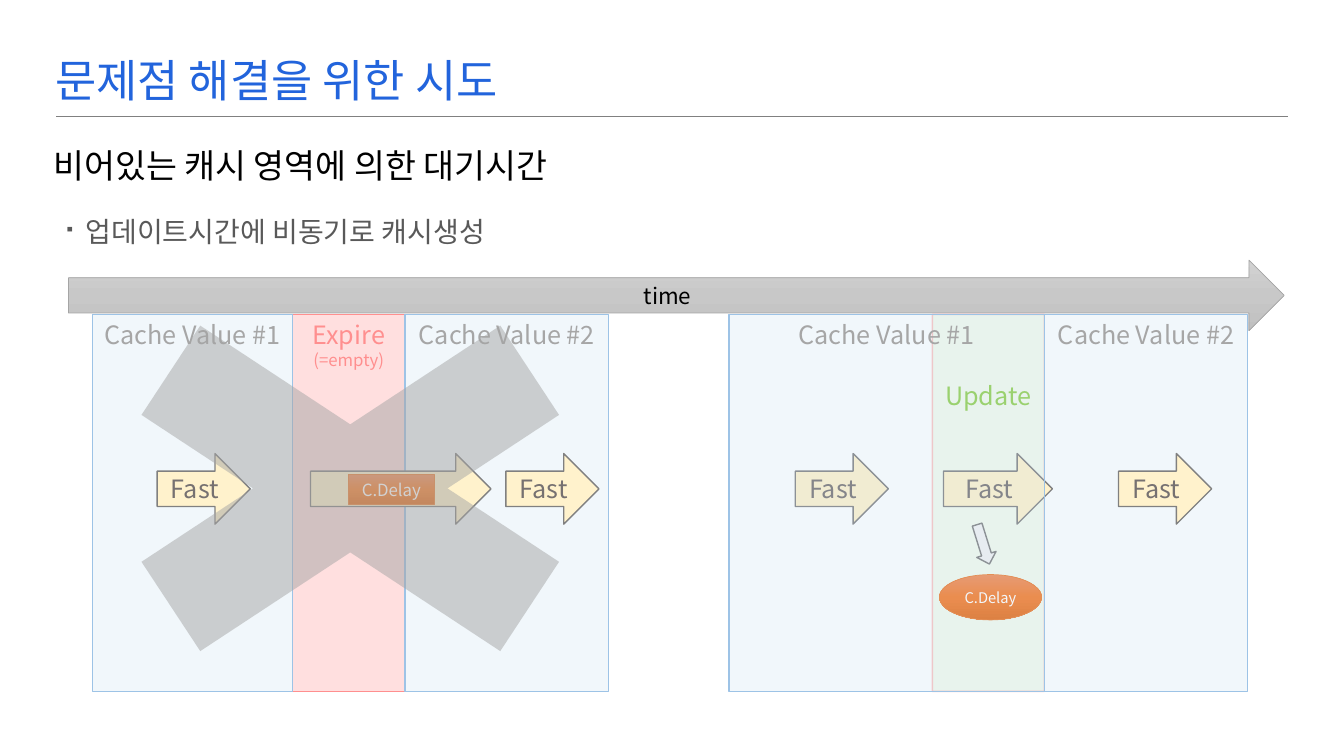
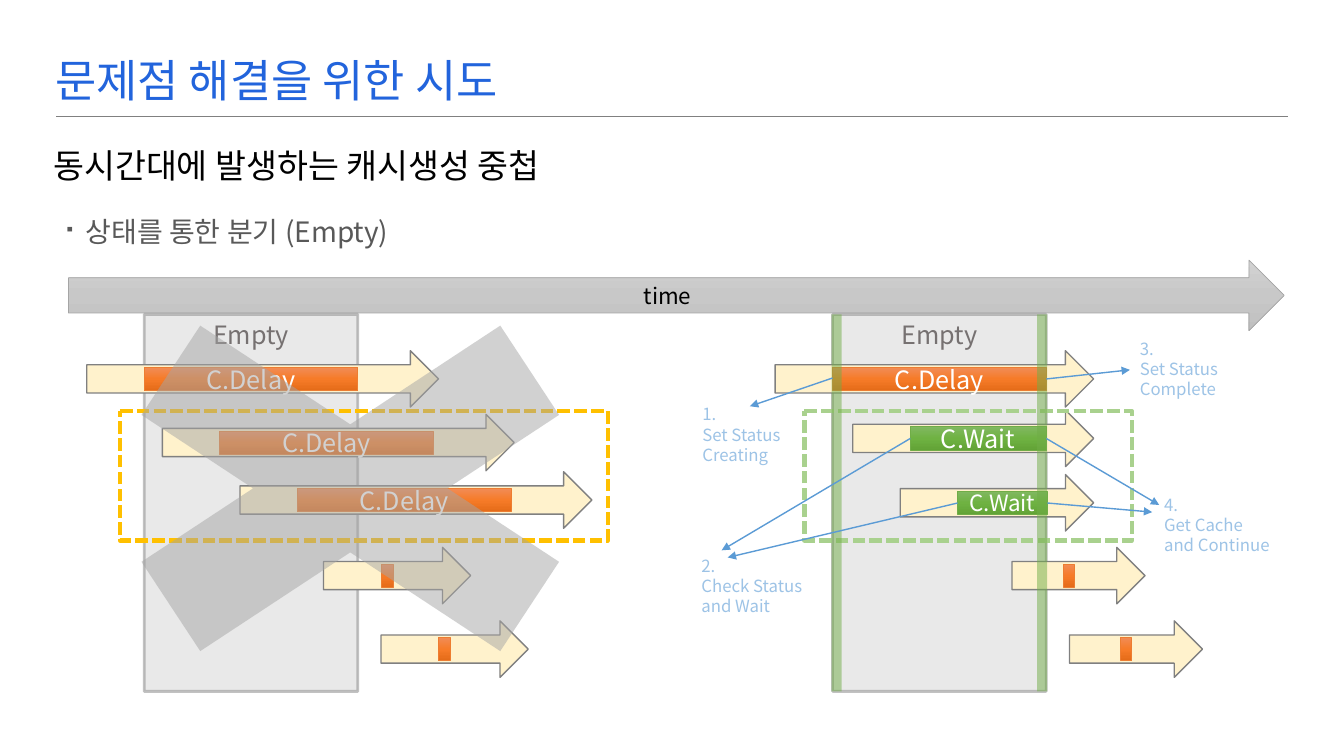
from dataclasses import dataclass

from lxml import etree
from pptx import Presentation
from pptx.dml.color import RGBColor
from pptx.enum.dml import MSO_LINE
from pptx.enum.shapes import MSO_CONNECTOR, MSO_SHAPE
from pptx.enum.text import MSO_ANCHOR, PP_ALIGN
from pptx.oxml.ns import qn
from pptx.util import Pt

RECT = MSO_SHAPE.RECTANGLE
ARROW = MSO_SHAPE.RIGHT_ARROW
OVAL = MSO_SHAPE.OVAL
CROSS = MSO_SHAPE.MATH_MULTIPLY
PROCESS = MSO_SHAPE.FLOWCHART_PROCESS
STRAIGHT = MSO_CONNECTOR.STRAIGHT
DASH = MSO_LINE.SQUARE_DOT
TOP, MIDDLE = MSO_ANCHOR.TOP, MSO_ANCHOR.MIDDLE
LEFT, CENTER = PP_ALIGN.LEFT, PP_ALIGN.CENTER


@dataclass(frozen=True)
class Theme:
    font: str = "Noto Sans CJK KR"
    title: str = "2264DC"
    black: str = "000000"
    white: str = "FFFFFF"
    body: str = "595959"
    label: str = "767171"
    muted: str = "A6A6A6"
    rule: str = "808080"
    red: str = "FF8F8F"
    lime: str = "92D050"
    note: str = "9DC3E6"
    link: str = "5B9BD5"
    title_size: float = 32
    heading_size: float = 24
    bullet_size: float = 20
    label_size: float = 18
    time_size: float = 16
    note_size: float = 12
    oval_size: float = 10.5


@dataclass(frozen=True)
class Look:
    fill: str | tuple[str, ...] | None = None
    alpha: int = 100
    line: str | None = None
    width: float = 1
    line_alpha: int = 100
    dashed: bool = False


@dataclass(frozen=True)
class Line:
    text: str
    size: float
    color: str


@dataclass(frozen=True)
class Box:
    x: float
    y: float
    w: float
    h: float


@dataclass(frozen=True)
class Column:
    x: float
    w: float
    look: Look
    lines: tuple[Line, ...]
    inset: float = 3.6


@dataclass(frozen=True)
class Bar:
    x: float
    y: float
    w: float
    core_w: float
    core_dx: float = 41
    label: str = ""
    size: float = 18
    waiting: bool = False


@dataclass(frozen=True)
class Note:
    x: float
    y: float
    w: float
    lines: tuple[str, ...]


T = Theme()
CACHE = Look("BDD7EE", 20, "9DC3E6")
EXPIRE = Look("FF6161", 20, T.red)
UPDATE = Look("92D050", 10, T.red, line_alpha=50)
EMPTY = Look("E4E4E4", 80, "868686", 2, 50)
FAST = Look("FFF2CC", line=T.rule)
SPAWN = Look("F2F2F2", line=T.rule)
DELAY = Look(("F18C57", "F67B28", "E56C19"), line="ED7D31", width=0.5)
WAIT = Look(("81B861", "6FB242", "62A336"), line="70AD47", width=0.5)
TIME = Look(("D2D2D2", "C8C8C8", "C0C0C0"), line="A5A5A5", width=0.5)
REJECT = Look("A5A5A5", 50)
EDGE = Look("70AD47", 50)
COLUMN_Y, COLUMN_H = 224.6, 269.3
FAST_Y, FAST_W, FAST_H = 324, 66.5, 50.4
BAR_H, CORE_DY, CORE_H = 40.3, 11.9, 16.6
DELAY_W, EMPTY_XS = 152.6, (103, 594.7)


def set_alpha(parent, percent: int) -> None:
    if percent < 100:
        color = parent.find(".//" + qn("a:srgbClr"))
        etree.SubElement(color, qn("a:alpha"), val=str(percent * 1000))


def add_line(tf, i: int, line: Line, align=LEFT):
    p = tf.paragraphs[0] if i == 0 else tf.add_paragraph()
    p.alignment = align
    r = p.add_run()
    r.text = line.text
    r.font.size = Pt(line.size)
    r.font.name = T.font
    r.font.color.rgb = RGBColor.from_string(line.color)
    etree.SubElement(r.font._element, qn("a:ea"), typeface=T.font)
    return p


def paint(sp, look: Look) -> None:
    sp.shadow.inherit = False
    if look.fill is None:
        sp.fill.background()
    elif isinstance(look.fill, tuple):
        sp.fill.gradient()
        sp.fill.gradient_angle = 270
        stops = sp._element.spPr.find(".//" + qn("a:gsLst"))
        stops.clear()
        for i, color in enumerate(look.fill):
            gs = etree.SubElement(stops, qn("a:gs"), pos=str(i * 50000))
            etree.SubElement(gs, qn("a:srgbClr"), val=color)
    else:
        sp.fill.solid()
        sp.fill.fore_color.rgb = RGBColor.from_string(look.fill)
        set_alpha(sp._element.spPr.find(qn("a:solidFill")), look.alpha)
    if look.line is None:
        sp.line.fill.background()
        return
    sp.line.color.rgb = RGBColor.from_string(look.line)
    sp.line.width = Pt(look.width)
    set_alpha(sp._element.spPr.find(qn("a:ln")), look.line_alpha)
    if look.dashed:
        sp.line.dash_style = DASH


def add_shape(s, kind, box: Box, look: Look, lines: tuple[Line, ...] = (),
              anchor=MIDDLE, inset: float = 3.6):
    sp = s.shapes.add_shape(kind, Pt(box.x), Pt(box.y), Pt(box.w), Pt(box.h))
    paint(sp, look)
    tf = sp.text_frame
    tf.vertical_anchor = anchor
    tf.margin_left = tf.margin_right = 0
    tf.margin_top = Pt(inset)
    for i, line in enumerate(lines):
        add_line(tf, i, line, CENTER)
    return sp


def add_text(s, box: Box, lines: tuple[Line, ...], anchor=TOP,
             spacing: float | None = None, wrap: bool = True):
    sp = s.shapes.add_textbox(Pt(box.x), Pt(box.y), Pt(box.w), Pt(box.h))
    tf = sp.text_frame
    tf.word_wrap = wrap
    tf.vertical_anchor = anchor
    for i, line in enumerate(lines):
        p = add_line(tf, i, line)
        if spacing:
            p.line_spacing = spacing
    return tf


def add_link(s, start: tuple[float, float], end: tuple[float, float],
             color: str, width: float, arrow: bool = True) -> None:
    cx = s.shapes.add_connector(STRAIGHT, *map(Pt, start + end))
    cx.line.color.rgb = RGBColor.from_string(color)
    cx.line.width = Pt(width)
    if arrow:
        etree.SubElement(cx.line._ln, qn("a:tailEnd"), type="triangle")
    etree.SubElement(cx._element.spPr, qn("a:effectLst"))


def add_frame(prs, heading: str, bullet: str):
    s = prs.slides.add_slide(prs.slide_layouts[6])
    add_link(s, (40.3, 83.5), (920.2, 83.5), T.rule, 0.75, arrow=False)
    title = Line("문제점 해결을 위한 시도", T.title_size, T.title)
    add_text(s, Box(32.4, 17.3, 776.9, 67), (title,), MIDDLE, 1.3)
    add_text(s, Box(31, 101.5, 778.3, 36),
             (Line(heading, T.heading_size, T.black),), MIDDLE, 0.9)
    tf = add_text(s, Box(31, 141.1, 778.3, 240.5),
                  (Line(bullet, T.bullet_size, T.body),), TOP, 1.35)
    pPr = tf.paragraphs[0]._p.get_or_add_pPr()
    pPr.set("marL", str(Pt(23)))
    pPr.set("indent", str(Pt(-15)))
    etree.SubElement(pPr, qn("a:buSzPct"), val="50000")
    etree.SubElement(pPr, qn("a:buChar"), char="▪")
    return s


def add_time(s) -> None:
    add_shape(s, ARROW, Box(49, 185.8, 868.3, 50.4), TIME,
              (Line("time", T.time_size, T.black),))


def add_reject(s) -> None:
    add_shape(s, CROSS, Box(3.6, 186.5, 493.2, 324.7), REJECT)


def add_column(s, c: Column) -> None:
    add_shape(s, RECT, Box(c.x, COLUMN_Y, c.w, COLUMN_H), c.look, c.lines,
              TOP, c.inset)


def add_cache(s, x: float, w: float, number: int) -> None:
    line = Line(f"Cache Value #{number}", T.label_size, T.muted)
    add_column(s, Column(x, w, CACHE, (line,)))


def add_fast(s, x: float, w: float = FAST_W) -> None:
    add_shape(s, ARROW, Box(x, FAST_Y, w, FAST_H), FAST,
              (Line("Fast", T.label_size, T.label),))


def add_bar(s, b: Bar) -> None:
    add_shape(s, ARROW, Box(b.x, b.y, b.w, BAR_H), FAST)
    lines = (Line(b.label, b.size, T.white),) if b.label else ()
    add_shape(s, RECT, Box(b.x + b.core_dx, b.y + CORE_DY, b.core_w, CORE_H),
              WAIT if b.waiting else DELAY, lines)


def add_empty(s, x: float) -> None:
    line = Line("Empty", T.label_size, T.label)
    add_column(s, Column(x, DELAY_W, EMPTY, (line,)))


def add_group(s, x: float, bars: tuple[Bar, ...], frame: Box, color: str) -> None:
    add_empty(s, x)
    for b in bars:
        add_bar(s, b)
    add_shape(s, PROCESS, frame, Look(line=color, width=3, dashed=True))


def build_async(prs) -> None:
    s = add_frame(prs, "비어있는 캐시 영역에 의한 대기시간",
                  "업데이트시간에 비동기로 캐시생성")
    add_column(s, Column(208.8, 80.6, EXPIRE, (
        Line("Expire", T.label_size, T.red),
        Line("(=empty)", T.note_size, T.red))))
    add_cache(s, 289.4, 145.4, 2)
    add_shape(s, ARROW, Box(221.8, FAST_Y, 128.9, FAST_H), FAST)
    add_shape(s, RECT, Box(248.6, 339.1, 62, 20.9), DELAY,
              (Line("C.Delay", T.note_size, T.white),))
    add_fast(s, 361.4)
    add_cache(s, 66.2, 142.6, 1)
    add_fast(s, 112.3)
    add_time(s)
    add_column(s, Column(666, 79.9, UPDATE,
                         (Line("Update", T.label_size, T.lime),), 46.8))
    add_cache(s, 745.9, 145.4, 2)
    add_fast(s, 799)
    add_fast(s, 568.1)
    add_shape(s, OVAL, Box(671, 410.4, 73, 32.4), DELAY,
              (Line("C.Delay", T.oval_size, T.white),))
    add_fast(s, 673.9, 77.8)
    add_shape(s, ARROW, Box(687.6, 381.6, 29.5, 14.4), SPAWN).rotation = 72.7
    add_reject(s)
    add_cache(s, 520.6, 225.4, 1)


def build_branch(prs) -> None:
    s = add_frame(prs, "동시간대에 발생하는 캐시생성 중첩",
                  "상태를 통한 분기 (Empty)")
    add_time(s)
    left = tuple(Bar(x, y, 251.3, DELAY_W, label="C.Delay")
                 for x, y in ((62, 250.5), (116, 296), (171.4, 337)))
    left += tuple(Bar(x, y, 105.1, 8.6)
                  for x, y in ((231.1, 391), (272.2, 443.5)))
    right = (Bar(553.7, 250.5, 227.5, DELAY_W, label="C.Delay"),)
    right += tuple(Bar(x, y, 95, 7.9, 36.7)
                   for x, y in ((722.9, 391), (763.9, 443.5)))
    right += (Bar(609.1, 293, 172.1, 97.2, label="C.Wait", waiting=True),
              Bar(643, 339, 138.2, 64.1, label="C.Wait", size=16, waiting=True))
    add_group(s, EMPTY_XS[0], left, Box(85.7, 293.8, 348.5, 92.2), "FFC000")
    add_group(s, EMPTY_XS[1], right, Box(574.6, 293.8, 234, 92.2), "A9D18E")
    add_reject(s)
    for x in (594, 740.9):
        add_shape(s, RECT, Box(x, COLUMN_Y, 7.2, COLUMN_H), EDGE)
    for start, end in (((650.2, 313.2), (515.5, 393.1)),
                       ((684, 359.3), (519.8, 398.2)),
                       ((594.7, 270), (535.7, 290.2)),
                       ((747.4, 313.2), (828, 360.7)),
                       ((748.1, 359.3), (823, 365.8)),
                       ((747.4, 270.7), (807.1, 264.2))):
        add_link(s, start, end, T.link, 1)
    for n in (Note(494.6, 285.1, 76.3, ("1.", "Set Status", "Creating")),
              Note(493.9, 393.1, 92.2, ("2.", "Check Status", "and Wait")),
              Note(807.1, 238.3, 76.3, ("3.", "Set Status", "Complete")),
              Note(824.4, 349.9, 90, ("4.", "Get Cache", "and Continue"))):
        add_text(s, Box(n.x, n.y, n.w, 51.1),
                 tuple(Line(t, T.note_size, T.note) for t in n.lines), wrap=False)


def main() -> None:
    prs = Presentation()
    prs.slide_width, prs.slide_height = Pt(960), Pt(540)
    build_async(prs)
    build_branch(prs)
    prs.save("out.pptx")


if __name__ == "__main__":
    main()
